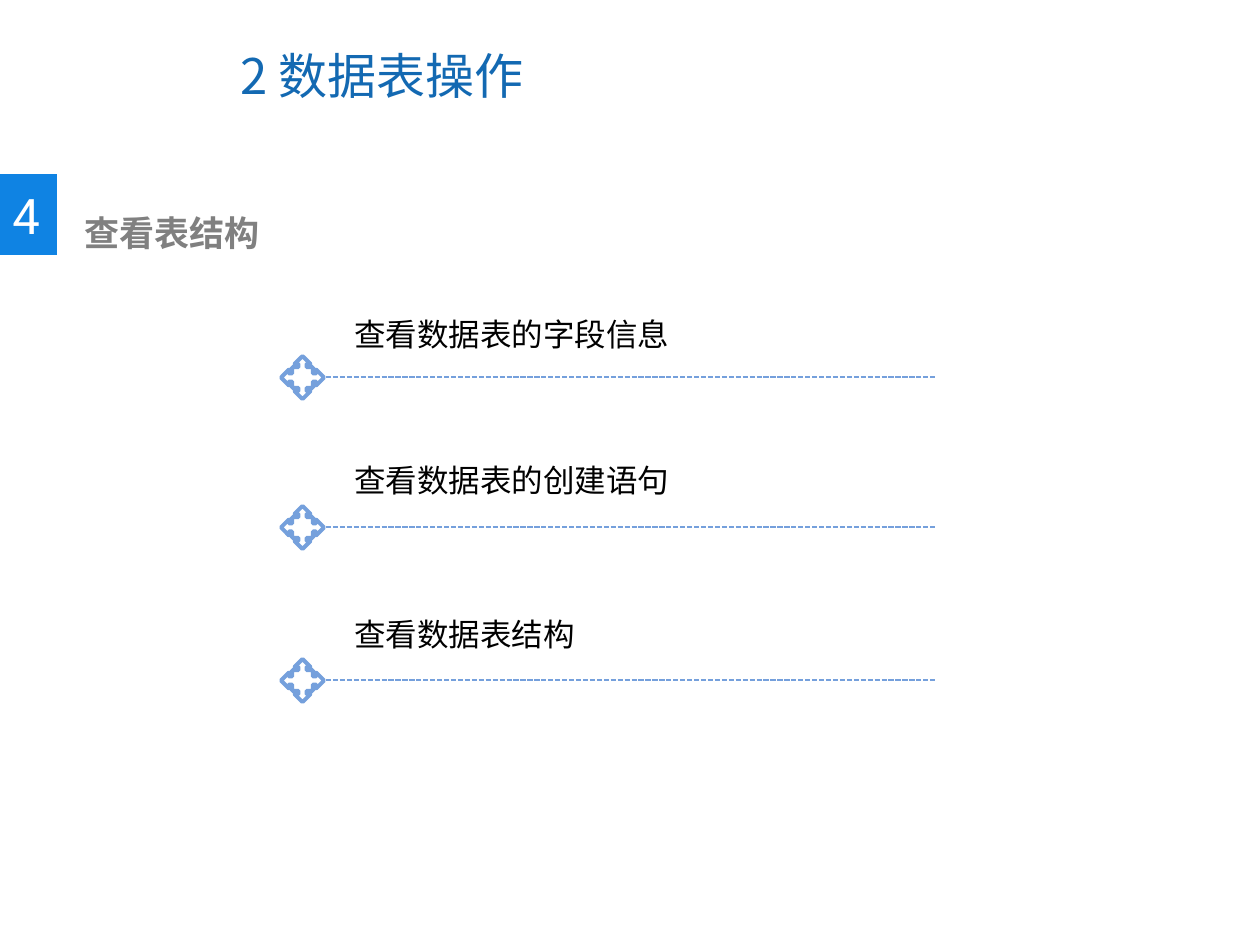
import pptx
import pptx.dml.color
import pptx.enum.dml
import pptx.enum.shapes
import pptx.enum.text
import pptx.oxml.ns
import pptx.util
from dataclasses import dataclass
from lxml import etree

SHAPE = pptx.enum.shapes.MSO_SHAPE
qn = pptx.oxml.ns.qn


@dataclass(frozen=True)
class Theme:
    title: str = "1369B2"
    badge: str = "0F83E3"
    badge_text: str = "FFFFFF"
    heading: str = "808080"
    body: str = "000000"
    rule: str = "75A0DC"
    cjk_font: str = "Noto Sans CJK SC"
    number_font: str = "Roboto"
    body_font: str = "Arial"
    large: int = 28
    medium: int = 20
    small: int = 18


def px(n):
    return pptx.util.Emu(round(n * 914400 / 126))


def rgb(color):
    return pptx.dml.color.RGBColor.from_string(color)


class Builder:
    def __init__(self, prs, theme):
        self.theme = theme
        self.s = prs.slides.add_slide(prs.slide_layouts[5])

    def set_text(self, sp, text, size, color, font, bold=False, wrap=True):
        tf = sp.text_frame
        tf.word_wrap = wrap
        p = tf.paragraphs[0]
        p.alignment = pptx.enum.text.PP_ALIGN.LEFT
        p.add_run().text = text
        p.font.size = pptx.util.Pt(size)
        p.font.bold = bold
        p.font.name = font
        p.font.color.rgb = rgb(color)
        props = p._p.pPr.find(qn("a:defRPr"))
        etree.SubElement(props, qn("a:ea"), typeface=self.theme.cjk_font)

    def title(self, text, x, y, w, h):
        sp = self.s.shapes.title
        sp.left, sp.top, sp.width, sp.height = map(px, (x, y, w, h))
        sp.text_frame.vertical_anchor = pptx.enum.text.MSO_ANCHOR.MIDDLE
        self.set_text(sp, text, self.theme.large, self.theme.title, self.theme.cjk_font)

    def text(self, text, x, y, w, h, *style, **options):
        sp = self.s.shapes.add_textbox(*map(px, (x, y, w, h)))
        self.set_text(sp, text, *style, **options)

    def shape(self, kind, x, y, w, h, fill=None, line=None):
        sp = self.s.shapes.add_shape(kind, *map(px, (x, y, w, h)))
        sp.shadow.inherit = False
        if fill:
            sp.fill.solid()
            sp.fill.fore_color.rgb = rgb(fill)
        else:
            sp.fill.background()
        if line:
            sp.line.color.rgb = rgb(line)
            sp.line.width = pptx.util.Pt(2.25)
        else:
            sp.line.fill.background()

    def rule(self, x1, x2, y):
        line = self.s.shapes.add_connector(
            pptx.enum.shapes.MSO_CONNECTOR.STRAIGHT, px(x1), px(y), px(x2), px(y))
        line.line.color.rgb = rgb(self.theme.rule)
        line.line.width = pptx.util.Pt(1)
        line.line.dash_style = pptx.enum.dml.MSO_LINE.SQUARE_DOT
        etree.SubElement(line._element.spPr, qn("a:effectLst"))

    def badge(self, number, x, y, w, h):
        t = self.theme
        self.shape(SHAPE.RECTANGLE, x, y, w, h, fill=t.badge)
        self.text(number, x, y + 5, w, 72, t.large, t.badge_text, t.number_font, wrap=False)

    def item(self, text, text_y, rule_y):
        t = self.theme
        self.text(text, 342, text_y, 345, 50, t.small, t.body, t.body_font, wrap=False)
        self.rule(326, 937, rule_y)
        self.shape(SHAPE.QUAD_ARROW_CALLOUT, 281, rule_y - 21, 43, 43, line=t.rule)


def main():
    prs = pptx.Presentation()
    prs.slide_width, prs.slide_height = px(1260), px(945)
    theme = Theme()
    b = Builder(prs, theme)
    b.title("2 数据表操作", 228, 21, 650, 107)
    b.badge("4", 0, 174, 57, 81)
    b.text("查看表结构", 72, 205, 635, 55,
           theme.medium, theme.heading, theme.cjk_font, bold=True)
    items = (
        ("查看数据表的字段信息", 309, 377),
        ("查看数据表的创建语句", 455, 527),
        ("查看数据表结构", 609, 680),
    )
    for text, text_y, rule_y in items:
        b.item(text, text_y, rule_y)
    prs.save("out.pptx")


if __name__ == "__main__":
    main()
